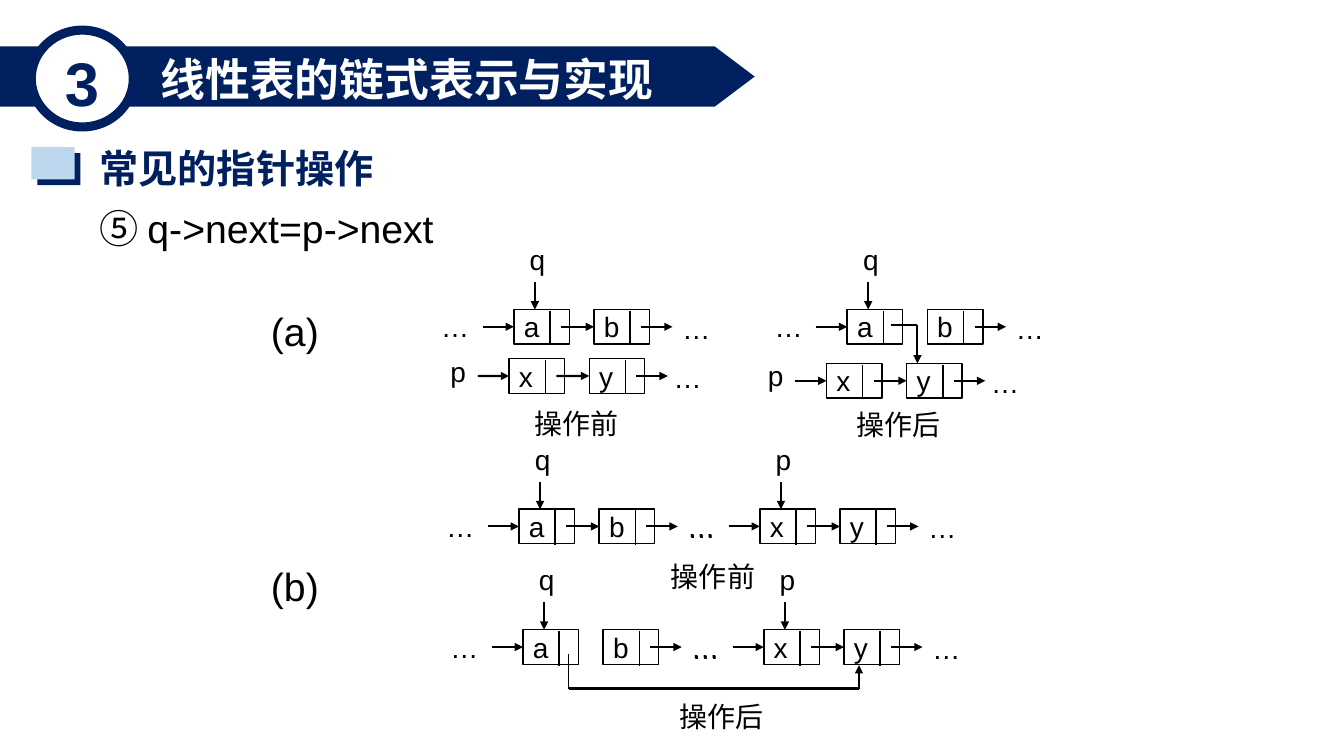
"""Build the slide on pointer operations in linked lists."""
from dataclasses import dataclass

from pptx import Presentation
from pptx.dml.color import RGBColor
from pptx.enum.shapes import MSO_CONNECTOR, MSO_SHAPE
from pptx.enum.text import MSO_ANCHOR, MSO_AUTO_SIZE, PP_ALIGN
from pptx.oxml.ns import qn
from pptx.shapes.autoshape import Shape
from pptx.shapes.connector import Connector
from pptx.slide import Slide
from pptx.util import Cm, Pt
from lxml.etree import SubElement

NAVY = RGBColor(0x00, 0x20, 0x60)
SKY = RGBColor(0xBD, 0xD7, 0xEE)
WHITE = RGBColor(0xFF, 0xFF, 0xFF)
BLACK = RGBColor(0x00, 0x00, 0x00)
NODE_WIDTH, NODE_HEIGHT, NODE_STEP = 1.4, 0.87, 2.02
DIVIDER, LINK_START, LINK_END = 0.91, 1.19, 1.98


@dataclass(frozen=True)
class Span:
    """A run of text with its formatting."""
    text: str
    size: float = 20
    font: str = "Arial"
    color: RGBColor = BLACK
    bold: bool = False


@dataclass(frozen=True)
class Label:
    """A one-line text box, in centimetres."""
    left: float
    top: float
    width: float
    height: float
    spans: tuple[Span, ...]
    align: PP_ALIGN = PP_ALIGN.LEFT


@dataclass(frozen=True)
class Entry:
    """What stands before a chain, and where its closing dots go."""
    text: str
    left: float
    top: float
    width: float
    dots_left: float


@dataclass(frozen=True)
class Chain:
    """Two list nodes with their arrows."""
    left: float
    top: float
    names: str
    entry: Entry
    pointer: str = ""
    linked: bool = True


@dataclass(frozen=True)
class Segment:
    """A straight line of a redirected link."""
    start: tuple[float, float]
    end: tuple[float, float]
    width: float = 1.5
    arrow: bool = False


DOTS = Entry("…", -2.08, 0, 1.09, 1.98)
POINTER_P = Entry("p", -1.73, -0.13, 0.89, 1.88)

CHAINS = (
    Chain(12.95, 7.8, "ab", DOTS, "q"),
    Chain(12.83, 9.04, "xy", POINTER_P),
    Chain(21.35, 7.8, "ab", DOTS, "q", linked=False),
    Chain(20.83, 9.16, "xy", POINTER_P),
    Chain(13.08, 12.83, "ab", DOTS, "q"),
    Chain(19.15, 12.83, "xy", DOTS, "p"),
    Chain(13.18, 15.87, "ab", DOTS, "q", linked=False),
    Chain(19.25, 15.87, "xy", DOTS, "p"),
)
REDIRECTS = (
    Segment((22.45, 8.18), (23.12, 8.18)),
    Segment((23.12, 8.18), (23.12, 9.16), arrow=True),
    Segment((14.33, 16.48), (14.33, 17.35), width=1),
    Segment((14.33, 17.35), (21.65, 17.35)),
    Segment((21.65, 17.35), (21.65, 16.76), arrow=True),
)
CAPTIONS = (
    (13.21, 10.16, "操作前"),
    (21.34, 10.19, "操作后"),
    (16.66, 14.0, "操作前"),
    (16.87, 17.53, "操作后"),
)
LABELS = (
    Label(1.37, 0.99, 1.4, 2.13, (Span("3", 44, color=NAVY, bold=True),), PP_ALIGN.CENTER),
    Label(2.26, 3.5, 7.49, 1.45,
          (Span("常见的指针操作", 28, "Times New Roman", NAVY, True),)),
    Label(2.26, 5.11, 8.94, 1.27,
          (Span("⑤ ", 28, "Noto Sans CJK SC"), Span("q->next=p->next", 28))),
    Label(6.58, 7.75, 1.3, 1.17, (Span("(a)", 28),)),
    Label(6.58, 14.17, 1.3, 1.17, (Span("(b)", 28),)),
)


def write(box: Shape, spans: tuple[Span, ...], align: PP_ALIGN = PP_ALIGN.LEFT) -> None:
    """Fill a shape with one unwrapped, vertically centred line."""
    frame = box.text_frame
    frame.auto_size = MSO_AUTO_SIZE.NONE
    frame.word_wrap = False
    frame.vertical_anchor = MSO_ANCHOR.MIDDLE
    para = frame.paragraphs[0]
    para.alignment = align
    for span in spans:
        run = para.add_run()
        run.text = span.text
        run.font.size = Pt(span.size)
        run.font.name = span.font
        run.font.bold = span.bold
        run.font.color.rgb = span.color


def add_label(page: Slide, label: Label) -> None:
    """Add a text box."""
    box = page.shapes.add_textbox(
        Cm(label.left), Cm(label.top), Cm(label.width), Cm(label.height))
    write(box, label.spans, label.align)


def add_block(page: Slide, kind: MSO_SHAPE, left: float, top: float,
              width: float, height: float, fill: RGBColor | None) -> Shape:
    """Add a flat preset shape without outline."""
    block = page.shapes.add_shape(kind, Cm(left), Cm(top), Cm(width), Cm(height))
    block.shadow.inherit = False
    block.line.fill.background()
    if fill is None:
        block.fill.background()
    else:
        block.fill.solid()
        block.fill.fore_color.rgb = fill
    return block


def add_segment(page: Slide, segment: Segment) -> Connector:
    """Add a straight black line, with an arrowhead if asked."""
    line = page.shapes.add_connector(
        MSO_CONNECTOR.STRAIGHT, *map(Cm, segment.start + segment.end))
    line.line.color.rgb = BLACK
    line.line.width = Pt(segment.width)
    properties = line.element.spPr
    if segment.arrow:
        SubElement(properties.get_or_add_ln(), qn("a:tailEnd"), type="triangle")
    SubElement(properties, qn("a:effectLst"))
    return line


def add_node(page: Slide, left: float, top: float, name: str) -> Shape:
    """Add a list node: a framed name and a divider."""
    node = add_block(page, MSO_SHAPE.RECTANGLE, left, top, NODE_WIDTH, NODE_HEIGHT, None)
    node.line.color.rgb = BLACK
    node.line.width = Pt(1)
    write(node, (Span(name),))
    divider = left + DIVIDER
    add_segment(page, Segment((divider, top + 0.03), (divider, top + 0.9), 1))
    return node


def add_chain(page: Slide, chain: Chain) -> None:
    """Add two nodes with entry, pointer, links and closing dots."""
    left, top, entry = chain.left, chain.top, chain.entry
    second, middle = left + NODE_STEP, top + NODE_HEIGHT / 2
    first_node = add_node(page, left, top, chain.names[0])
    second_node = add_node(page, second, top, chain.names[1])
    lead = add_segment(page, Segment((left - 0.79, middle), (left, middle), arrow=True))
    lead.end_connect(first_node, 1)
    if chain.linked:
        link = add_segment(
            page, Segment((left + LINK_START, middle), (second, middle), arrow=True))
        link.end_connect(second_node, 1)
    add_segment(page, Segment(
        (second + LINK_START, middle), (second + LINK_END, middle), arrow=True))
    add_label(page, Label(left + entry.left, top + entry.top, entry.width,
                          NODE_HEIGHT, (Span(entry.text),)))
    add_label(page, Label(second + entry.dots_left, top + 0.03, DOTS.width,
                          NODE_HEIGHT, (Span(DOTS.text),)))
    if chain.pointer:
        add_label(page, Label(left + 0.15, top - 1.7, 0.89, NODE_HEIGHT,
                              (Span(chain.pointer),)))
        add_segment(page, Segment((left + 0.53, top - 0.69), (left + 0.53, top), arrow=True))


def add_header(page: Slide) -> None:
    """Add the banner, its number ring and the title."""
    builder = page.shapes.build_freeform(Cm(0), Cm(1.17))
    corners = ((18.01, 1.17), (19.02, 1.93), (18.01, 2.69), (0, 2.69))
    builder.add_line_segments([(Cm(x), Cm(y)) for x, y in corners])
    banner = builder.convert_to_shape()
    banner.shadow.inherit = False
    banner.fill.solid()
    banner.fill.fore_color.rgb = NAVY
    banner.line.fill.background()
    ring = add_block(page, MSO_SHAPE.OVAL, 0.79, 0.76, 2.57, 2.44, WHITE)
    ring.line.color.rgb = NAVY
    ring.line.width = Pt(6.5)
    title = page.shapes.title
    title.left, title.top, title.width, title.height = map(Cm, (3.73, 1.17, 13.06, 1.63))
    write(title, (Span("线性表的链式表示与实现", 32, color=WHITE, bold=True),), PP_ALIGN.CENTER)
    title.element.getparent().append(title.element)


def main() -> None:
    """Build and save the deck."""
    deck = Presentation()
    deck.slide_width, deck.slide_height = Cm(33.87), Cm(19.05)
    page = deck.slides.add_slide(deck.slide_layouts[5])
    add_header(page)
    for left, top, fill in ((0.94, 3.86, NAVY), (0.79, 3.71, SKY)):
        add_block(page, MSO_SHAPE.RECTANGLE, left, top, 1.09, 0.81, fill)
    for label in LABELS:
        add_label(page, label)
    for chain in CHAINS:
        add_chain(page, chain)
    for segment in REDIRECTS:
        add_segment(page, segment)
    for left, top, text in CAPTIONS:
        add_label(page, Label(left, top, 2.95, 1.02, (Span(text),)))
    deck.save("out.pptx")


if __name__ == "__main__":
    main()
